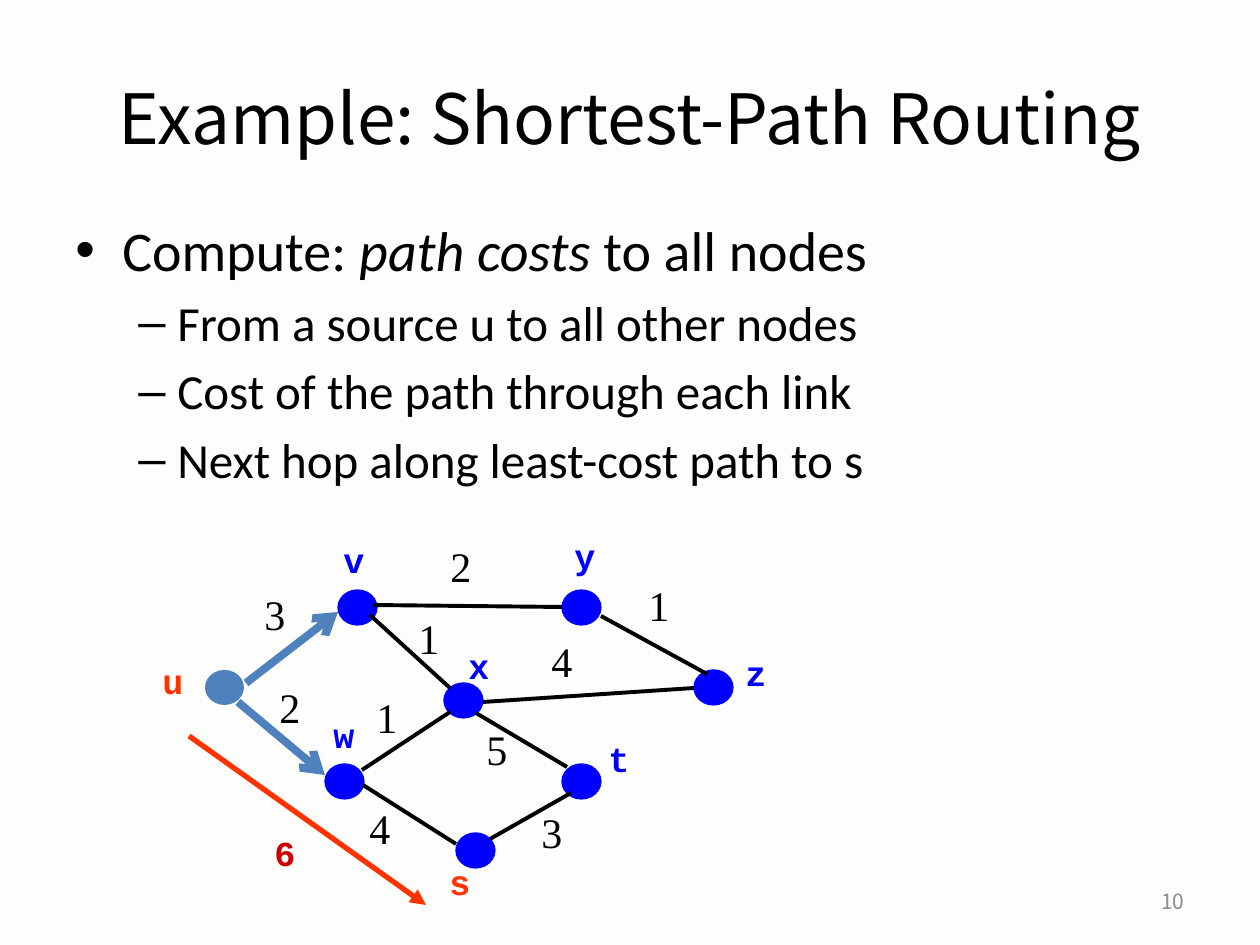
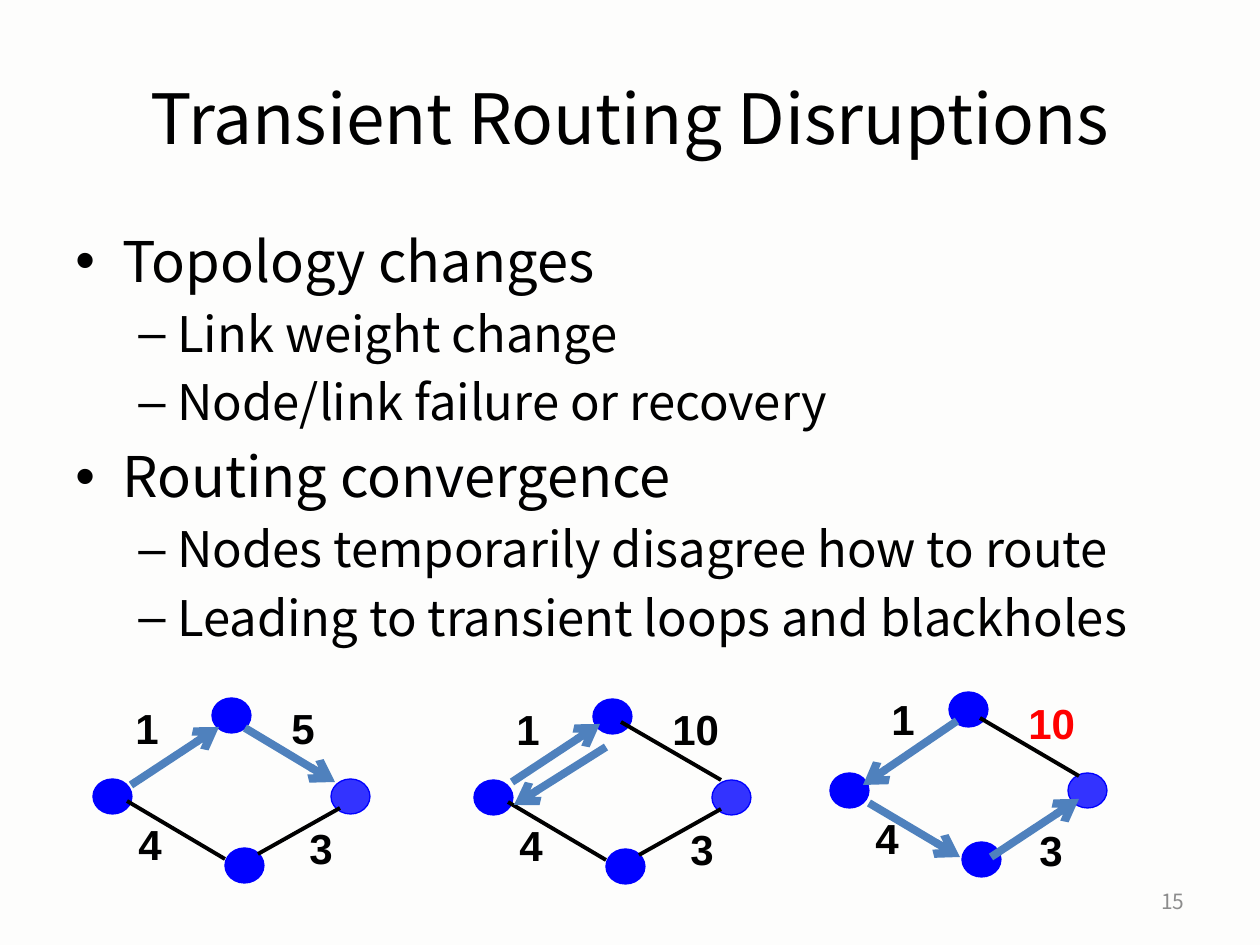
"""Two slides on shortest-path routing, with node-and-link networks."""
from dataclasses import dataclass

from lxml import etree
from pptx import Presentation
from pptx import util as u
from pptx.dml.color import RGBColor
from pptx.enum import shapes, text
from pptx.oxml.ns import qn

SCALE = 914400 / 126
PAPER, BLACK, GRAY = "FDFDFC", "000000", "8C8C8C"
BLUE, PALE, STEEL = "0000FF", "3333FF", "4F81BD"
ORANGE, RED, DARK = "FF3300", "FF0000", "CC0000"
SANS, BODY, MONO, SERIF, BOLD = (
    "Noto Sans CJK JP", "Calibri", "Courier New", "Times New Roman", "Arial")
NODE_W, NODE_H = 39, 35
LEFT, WIDE = 63, 1134


@dataclass
class Node:
    """A round network node, placed by its top left corner."""
    x: int
    y: int
    fill: str = BLUE
    edge: str | None = BLUE


@dataclass
class Link:
    """A straight line, with an arrowhead if one is named."""
    x1: int
    y1: int
    x2: int
    y2: int
    color: str = BLACK
    width: float = 2.25
    head: str | None = None


@dataclass
class Label:
    """A short caption, placed by the corner of its box."""
    text: str
    x: int
    y: int
    color: str = BLACK


@dataclass
class Style:
    """The lettering of a kind of label."""
    font: str
    size: float
    bold: bool = False


@dataclass
class Net:
    """A four-node network, with its links and costs."""
    x: int
    y: int
    links: list[Link]
    labels: list[Label]


COST = Style(SERIF, 24)
NAME = Style(MONO, 20, True)
WEIGHT = Style(BOLD, 24, True)


def px(n: float) -> u.Emu:
    """Turn pixels into EMU."""
    return u.Emu(round(n * SCALE))


def rgb(code: str) -> RGBColor:
    """Turn a hex string into a colour."""
    return RGBColor.from_string(code)


def hop(x1: int, y1: int, x2: int, y2: int) -> Link:
    """Make a thick arrow for a chosen next hop."""
    return Link(x1, y1, x2, y2, STEEL, 4.5, "arrow")


def ink(run, style: Style, color: str = BLACK) -> None:
    """Give a run its font, size, weight and colour."""
    font = run.font
    font.name, font.size, font.bold = style.font, u.Pt(style.size), style.bold
    font.color.rgb = rgb(color)


def add_node(tree, node: Node, dx: int = 0, dy: int = 0) -> None:
    """Draw a node."""
    dot = tree.add_shape(shapes.MSO_SHAPE.OVAL, px(node.x + dx),
                         px(node.y + dy), px(NODE_W), px(NODE_H))
    dot.shadow.inherit = False
    dot.fill.solid()
    dot.fill.fore_color.rgb = rgb(node.fill)
    if node.edge:
        dot.line.color.rgb = rgb(node.edge)
        dot.line.width = u.Pt(0.75)
    else:
        dot.line.fill.background()


def add_link(tree, link: Link, dx: int = 0, dy: int = 0) -> None:
    """Draw a link."""
    wire = tree.add_connector(
        shapes.MSO_CONNECTOR.STRAIGHT, px(link.x1 + dx), px(link.y1 + dy),
        px(link.x2 + dx), px(link.y2 + dy))
    wire.line.color.rgb = rgb(link.color)
    wire.line.width = u.Pt(link.width)
    if link.head:
        line = wire.line._get_or_add_ln()
        etree.SubElement(line, qn("a:tailEnd"), type=link.head)
    etree.SubElement(wire._element.spPr, qn("a:effectLst"))


def add_label(tree, label: Label, style: Style,
              dx: int = 0, dy: int = 0) -> None:
    """Write a caption in a box that fits it."""
    wide = 47 if len(label.text) == 1 else 73
    high = round(style.size * 2.65)
    box = tree.add_textbox(px(label.x + dx), px(label.y + dy),
                           px(wide), px(high))
    frame = box.text_frame
    frame.word_wrap = False
    frame.auto_size = text.MSO_AUTO_SIZE.SHAPE_TO_FIT_TEXT
    frame.text = label.text
    ink(frame.paragraphs[0].runs[0], style, label.color)


def add_list(slide, top: int, high: int, font: str, lines: list[str]) -> None:
    """Write a two-level list: a leading dash indents, underscores slant."""
    box = slide.shapes.add_textbox(px(LEFT), px(top), px(WIDE), px(high))
    frame = box.text_frame
    frame.word_wrap = True
    for i, line in enumerate(lines):
        para = frame.paragraphs[0] if i == 0 else frame.add_paragraph()
        sub = line.startswith("-")
        para.level = int(sub)
        for j, part in enumerate(line.lstrip("-").split("_")):
            run = para.add_run()
            run.text = part
            ink(run, Style(font, 28 if sub else 32))
            run.font.italic = j % 2 == 1
        props = para._p.get_or_add_pPr()
        props.set("marL", str(px(102 if sub else 47)))
        props.set("indent", str(px(-39 if sub else -47)))
        gap = etree.SubElement(props, qn("a:spcBef"))
        etree.SubElement(gap, qn("a:spcPct"), val="20000")
        etree.SubElement(props, qn("a:buFont"), typeface="Arial")
        etree.SubElement(props, qn("a:buChar"), char="–" if sub else "•")


def add_slide(deck, title: str, page: int):
    """Start a slide with its paper, title and page number."""
    slide = deck.slides.add_slide(deck.slide_layouts[5])
    slide.background.fill.solid()
    slide.background.fill.fore_color.rgb = rgb(PAPER)
    head = slide.shapes.title
    head.left, head.top = px(LEFT), px(38)
    head.width, head.height = px(WIDE), px(157)
    foot = slide.shapes.add_textbox(px(903), px(876), px(294), px(50))
    looks = (
        (head, title, 39.6, BLACK, text.PP_ALIGN.CENTER),
        (foot, str(page), 12, GRAY, text.PP_ALIGN.RIGHT),
    )
    for box, words, size, color, align in looks:
        frame = box.text_frame
        frame.text = words
        frame.word_wrap = True
        frame.auto_size = text.MSO_AUTO_SIZE.NONE
        frame.vertical_anchor = text.MSO_ANCHOR.MIDDLE
        frame.paragraphs[0].alignment = align
        ink(frame.paragraphs[0].runs[0], Style(SANS, size), color)
    return slide


def add_net(slide, net: Net) -> None:
    """Draw a four-node network as one group."""
    tree = slide.shapes.add_group_shape().shapes
    for node in DIAMOND:
        add_node(tree, node, net.x, net.y)
    for link in net.links:
        add_link(tree, link, net.x, net.y)
    for label in net.labels:
        add_label(tree, label, WEIGHT, net.x, net.y)


NODES = [
    Node(205, 670, STEEL, None), Node(325, 764), Node(338, 590),
    Node(444, 683), Node(562, 764), Node(562, 590), Node(456, 833),
    Node(694, 670),
]
LINKS = [
    hop(246, 683, 338, 612), hop(238, 702, 325, 775),
    Link(370, 615, 450, 688), Link(363, 785, 456, 844),
    Link(362, 770, 450, 712), Link(476, 713, 567, 767),
    Link(490, 839, 571, 793), Link(483, 702, 694, 688),
    Link(373, 605, 562, 607), Link(601, 616, 707, 674),
    Link(189, 736, 426, 905, ORANGE, 3, "triangle"),
]
COSTS = [
    Label("3", 252, 582), Label("2", 438, 534), Label("2", 267, 675),
    Label("1", 406, 606), Label("1", 364, 685), Label("4", 539, 629),
    Label("1", 636, 573), Label("4", 357, 796), Label("5", 474, 717),
    Label("3", 529, 800),
]
NAMES = [
    Label("u", 150, 653, ORANGE), Label("s", 437, 854, ORANGE),
    Label("6", 262, 825, DARK), Label("v", 331, 532, BLUE),
    Label("w", 321, 707, BLUE), Label("y", 562, 528, BLUE),
    Label("x", 456, 638, BLUE), Label("t", 596, 731, BLUE),
    Label("z", 733, 645, BLUE),
]

DIAMOND = [Node(0, 81), Node(119, 0), Node(238, 81, PALE), Node(132, 150)]
LOWER = [Link(34, 103, 132, 161), Link(165, 156, 247, 110)]
FOUR = Label("4", 33, 114)
SIDES = [Label("1", 30, -2), FOUR, Label("3", 204, 118)]
NETS = [
    Net(93, 698,
        LOWER + [hop(38, 87, 126, 29), hop(152, 30, 242, 84)],
        SIDES + [Label("5", 186, -2)]),
    Net(474, 699,
        LOWER + [hop(38, 83, 126, 25), hop(132, 48, 40, 106),
                 Link(147, 23, 247, 81)],
        SIDES + [Label("10", 186, -2)]),
    Net(830, 692,
        [Link(150, 26, 249, 84), hop(161, 165, 249, 107),
         hop(39, 111, 130, 165), hop(127, 29, 33, 93)],
        [Label("1", 49, -5), FOUR, Label("3", 197, 126),
         Label("10", 186, -1, RED)]),
]


def add_paths(deck) -> None:
    """Build the slide with the worked shortest-path example."""
    slide = add_slide(deck, "Example: Shortest-Path Routing", 10)
    add_list(slide, 209, 318, BODY, [
        "Compute: _path costs_ to all nodes",
        "-From a source u to all other nodes",
        "-Cost of the path through each link",
        "-Next hop along least-cost path to s",
    ])
    for node in NODES:
        add_node(slide.shapes, node)
    for link in LINKS:
        add_link(slide.shapes, link)
    for labels, style in ((COSTS, COST), (NAMES, NAME)):
        for label in labels:
            add_label(slide.shapes, label, style)


def add_faults(deck) -> None:
    """Build the slide with three states of a changing network."""
    slide = add_slide(deck, "Transient Routing Disruptions", 15)
    add_list(slide, 220, 471, SANS, [
        "Topology changes",
        "-Link weight change",
        "-Node/link failure or recovery",
        "Routing convergence",
        "-Nodes temporarily disagree how to route",
        "-Leading to transient loops and blackholes",
    ])
    for net in NETS:
        add_net(slide, net)


def main() -> None:
    """Build and save the deck."""
    deck = Presentation()
    deck.slide_width, deck.slide_height = px(1260), px(945)
    add_paths(deck)
    add_faults(deck)
    deck.save("out.pptx")


main()
